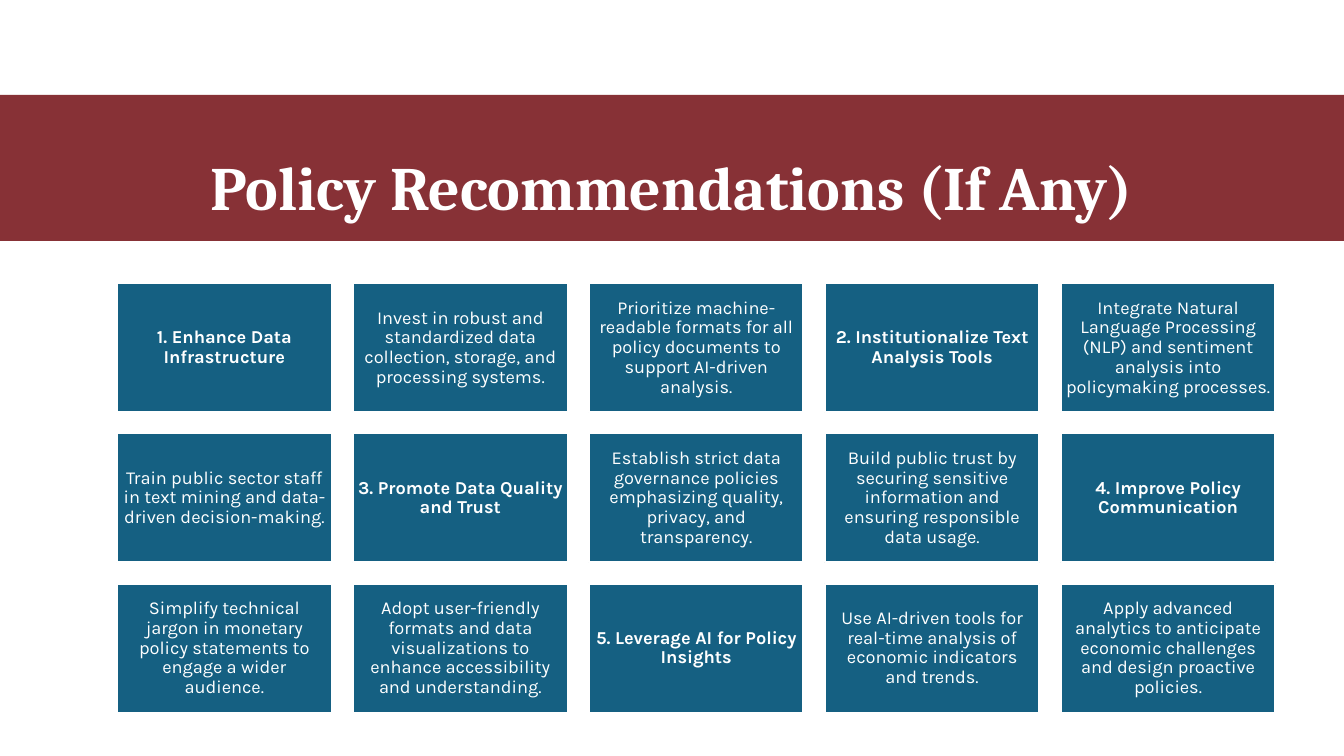
"""Build the policy recommendations slide: a title band over a grid of cards."""
from dataclasses import dataclass

from pptx import Presentation
from pptx.dml.color import RGBColor
from pptx.enum.shapes import MSO_SHAPE
from pptx.enum.text import MSO_ANCHOR, PP_ALIGN
from pptx.util import Inches, Pt

RECTANGLE = MSO_SHAPE.RECTANGLE
MIDDLE = MSO_ANCHOR.MIDDLE
CENTER = PP_ALIGN.CENTER


@dataclass(frozen=True)
class Theme:
    """Colours, fonts and type sizes."""
    band: RGBColor = RGBColor.from_string("873136")
    card: RGBColor = RGBColor.from_string("156082")
    white: RGBColor = RGBColor.from_string("FFFFFF")
    title_font: str = "Cambria"
    card_font: str = "Karla"
    title_size: Pt = Pt(44)
    card_size: Pt = Pt(13)


theme = Theme()


def set_attributes(target, values):
    """Set each named format value on the target."""
    for name, value in values.items():
        setattr(target, name, value)


def add_panel(slide, box, fill, text, font_values, line_spacing):
    """Add a filled rectangle with one centred paragraph."""
    shape = slide.shapes.add_shape(RECTANGLE, *(Inches(length) for length in box))
    shape.shadow.inherit = False
    shape.fill.solid()
    shape.fill.fore_color.rgb = fill
    shape.line.fill.background()
    set_attributes(shape.text_frame, {"word_wrap": True, "vertical_anchor": MIDDLE})
    paragraph = shape.text_frame.paragraphs[0]
    paragraph.text = text
    set_attributes(paragraph, {"alignment": CENTER, "line_spacing": line_spacing})
    set_attributes(paragraph.font, font_values)
    paragraph.font.color.rgb = theme.white
    return shape


presentation = Presentation()
presentation.slide_width = Inches(13.33)
presentation.slide_height = Inches(7.5)
slide = presentation.slides.add_slide(presentation.slide_layouts[6])

HEADING, DETAIL = True, False
cards = [
    (HEADING, "1. Enhance Data Infrastructure"),
    (DETAIL, "Invest in robust and standardized data collection, storage, and processing systems."),
    (DETAIL, "Prioritize machine-readable formats for all policy documents to support AI-driven analysis."),
    (HEADING, "2. Institutionalize Text Analysis Tools"),
    (DETAIL, "Integrate Natural Language Processing (NLP) and sentiment analysis into policymaking processes."),
    (DETAIL, "Train public sector staff in text mining and data-driven decision-making."),
    (HEADING, "3. Promote Data Quality and Trust"),
    (DETAIL, "Establish strict data governance policies emphasizing quality, privacy, and transparency."),
    (DETAIL, "Build public trust by securing sensitive information and ensuring responsible data usage."),
    (HEADING, "4. Improve Policy Communication"),
    (DETAIL, "Simplify technical jargon in monetary policy statements to engage a wider audience."),
    (DETAIL, "Adopt user-friendly formats and data visualizations to enhance accessibility and understanding."),
    (HEADING, "5. Leverage AI for Policy Insights"),
    (DETAIL, "Use AI-driven tools for real-time analysis of economic indicators and trends."),
    (DETAIL, "Apply advanced analytics to anticipate economic challenges and design proactive policies."),
]

columns = 5
grid_left, grid_top = 1.16, 2.81
card_width, card_height = 2.13, 1.28
column_step, row_step = 2.34, 1.49
card_margins = dict.fromkeys(
    ("margin_left", "margin_top", "margin_right", "margin_bottom"), Inches(0.05))

for index, (is_heading, text) in enumerate(cards):
    row, column = divmod(index, columns)
    box = (grid_left + column * column_step, grid_top + row * row_step,
           card_width, card_height)
    font_values = {"name": theme.card_font, "size": theme.card_size, "bold": is_heading}
    card = add_panel(slide, box, theme.card, text, font_values, 0.9)
    card.line.color.rgb = theme.white
    card.line.width = Pt(1.5)
    set_attributes(card.text_frame, card_margins)

title_values = {"name": theme.title_font, "size": theme.title_size, "bold": True}
add_panel(slide, (0, 0.94, 13.33, 1.45), theme.band,
          "Policy Recommendations (If Any)", title_values, 1.5)

presentation.save("out.pptx")
